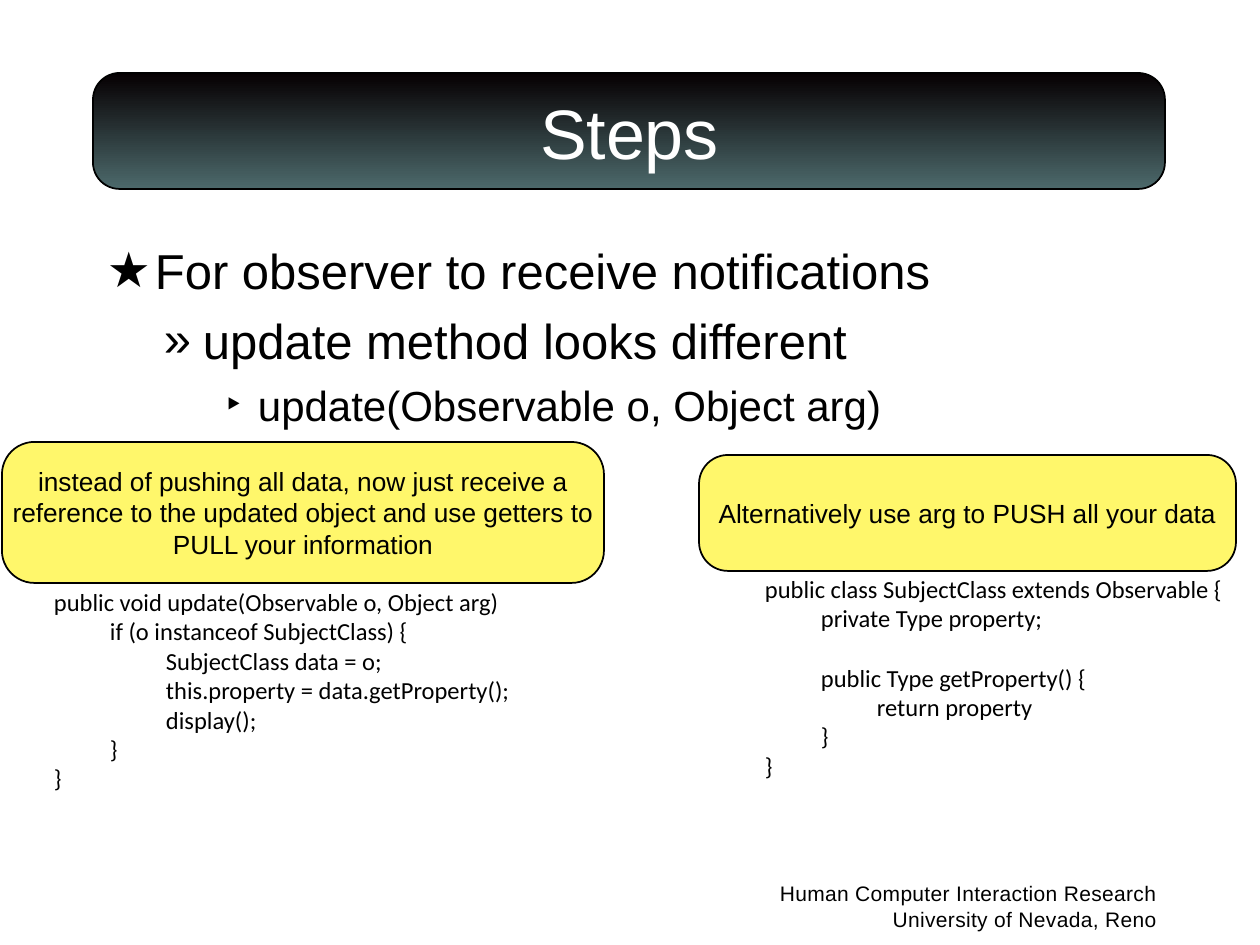
from lxml import etree
from pptx import Presentation, util as u
from pptx.dml.color import RGBColor
from pptx.enum import shapes, text
from pptx.oxml import ns

SCALE = 914400 / 126


def px(*lengths):
    return [u.Emu(round(length * SCALE)) for length in lengths]


def write(shape, content, size, font="Arial", color="000000", align="LEFT", anchor="TOP",
          inset=8, wrap=True, spacing=None, before=0, first=True):
    frame = shape.text_frame
    frame.word_wrap = wrap
    frame.auto_size = text.MSO_AUTO_SIZE.NONE
    frame.vertical_anchor = getattr(text.MSO_ANCHOR, anchor)
    frame.margin_left, frame.margin_top, frame.margin_right, frame.margin_bottom = px(*[inset] * 4)
    paragraph = frame.paragraphs[0] if first else frame.add_paragraph()
    paragraph.alignment = getattr(text.PP_ALIGN, align)
    paragraph.space_before = u.Pt(before)
    run = paragraph.add_run()
    run.text = content
    run.font.size = u.Pt(size)
    run.font.name = font
    run.font.color.rgb = RGBColor.from_string(color)
    if spacing:
        run.font._element.set("spc", str(spacing))
    return paragraph


presentation = Presentation()
presentation.slide_width, presentation.slide_height = px(1260, 945)
slide = presentation.slides.add_slide(presentation.slide_layouts[5])

rounded = shapes.MSO_SHAPE.ROUNDED_RECTANGLE
bar = slide.shapes.add_shape(rounded, *px(93, 73, 1072, 116))
bar.adjustments[0] = 0.23
bar.shadow.inherit = False
bar.fill.gradient()
bar.fill.gradient_angle = 270
for stop, position, color in zip(bar.fill.gradient_stops, (0, 1), ("060002", "4C696B")):
    stop.position = position
    stop.color.rgb = RGBColor.from_string(color)
bar.line.color.rgb = RGBColor.from_string("000000")
bar.line.width = u.Pt(1)

title = slide.shapes.title
title.left, title.top, title.width, title.height = px(94, 28, 1071, 208)
write(title, "Steps", 40, color="FFFFFF", align="CENTER", anchor="MIDDLE")
bar._element.addnext(title._element)

footer = slide.shapes.add_textbox(*px(765, 873, 400, 65))
for index, line in enumerate(["Human Computer Interaction Research", "University of Nevada, Reno"]):
    write(footer, line, 12, align="RIGHT", wrap=False, spacing=20, first=index == 0)

outline = slide.shapes.add_textbox(*px(94, 233, 1071, 638))
points = [
    ("★", "For observer to receive notifications", 28, 53, 48),
    ("»", "update method looks different", 28, 101, 39),
    ("‣", "update(Observable o, Object arg)", 24, 156, 32),
]
for level, (bullet, content, size, margin, hanging) in enumerate(points):
    paragraph = write(outline, content, size, before=6 if level else 0, first=level == 0)
    paragraph.level = level
    properties = paragraph._p.get_or_add_pPr()
    left, indent = px(margin, -hanging)
    properties.set("marL", str(left))
    properties.set("indent", str(indent))
    bullet_color = etree.SubElement(properties, ns.qn("a:buClr"))
    etree.SubElement(bullet_color, ns.qn("a:srgbClr"), val="000000")
    etree.SubElement(properties, ns.qn("a:buFont"), typeface="Arial")
    etree.SubElement(properties, ns.qn("a:buChar"), char=bullet)

callouts = [
    ((2, 442, 602, 141), 0.23, "instead of pushing all data, now just receive a reference "
     "to the updated object and use getters to PULL your information"),
    ((699, 455, 537, 116), 0.25, "Alternatively use arg to PUSH all your data"),
]
for box, rounding, content in callouts:
    callout = slide.shapes.add_shape(rounded, *px(*box))
    callout.adjustments[0] = rounding
    callout.shadow.inherit = False
    callout.fill.solid()
    callout.fill.fore_color.rgb = RGBColor.from_string("FFF76B")
    callout.line.color.rgb = RGBColor.from_string("000000")
    callout.line.width = u.Pt(1)
    write(callout, content, 15, align="CENTER", anchor="MIDDLE", inset=0)

listings = [
    ((46, 579, 476, 222), [
        (0, "public void update(Observable o, Object arg)"),
        (1, "if (o instanceof SubjectClass) {"),
        (2, "SubjectClass data = o;"),
        (2, "this.property = data.getProperty();"),
        (2, "display();"),
        (1, "}"),
        (0, "}"),
    ]),
    ((757, 566, 476, 252), [
        (0, "public class SubjectClass extends Observable {"),
        (1, "private Type property;"),
        (1, "public Type getProperty() {"),
        (2, "return property"),
        (1, "}"),
        (0, "}"),
    ]),
]
for box, lines in listings:
    listing = slide.shapes.add_textbox(*px(*box))
    for index, (depth, line) in enumerate(lines):
        gap = 17 if line.startswith("public Type") else 0
        paragraph = write(listing, "\t" * depth + line, 14, font="Calibri", wrap=False,
                          before=gap, first=index == 0)
        tabs = etree.SubElement(paragraph._p.get_or_add_pPr(), ns.qn("a:tabLst"))
        for position in px(56, 112):
            etree.SubElement(tabs, ns.qn("a:tab"), pos=str(position), algn="l")

presentation.save("out.pptx")
